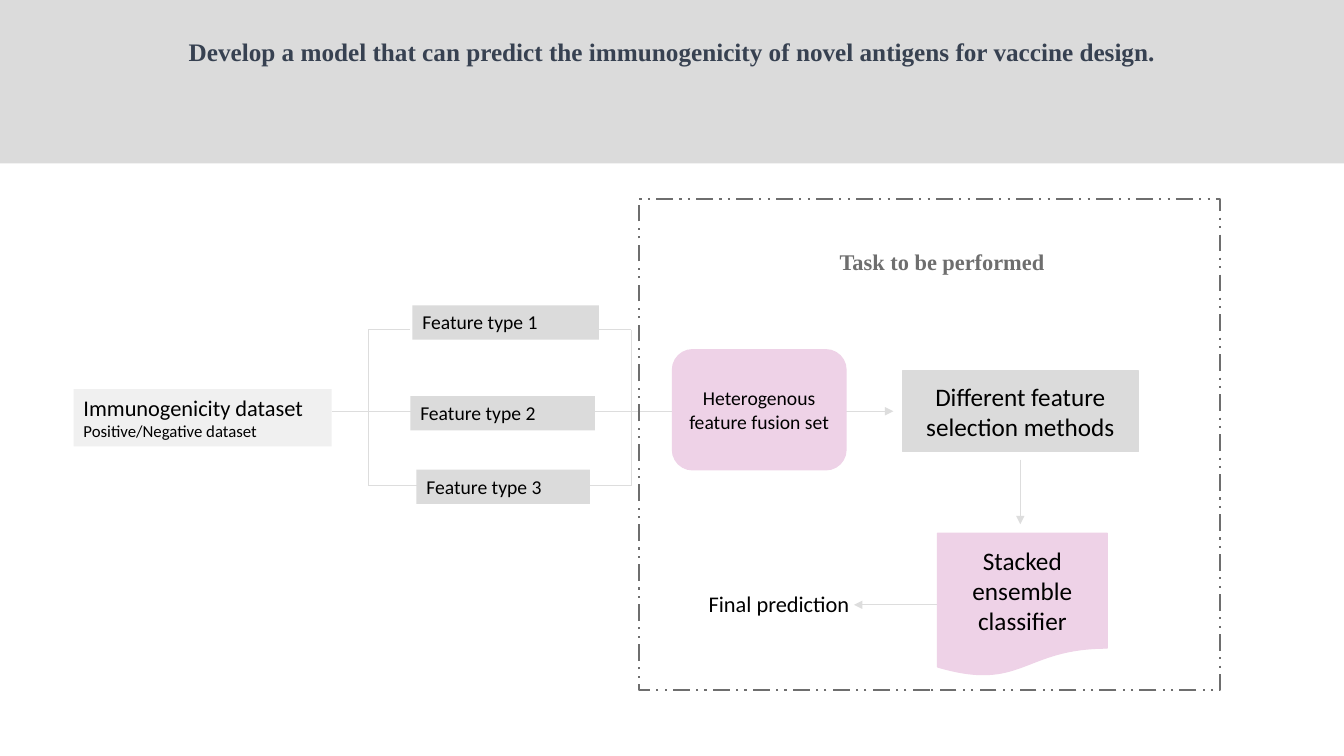
from pptx import Presentation
from pptx.dml.color import RGBColor
from pptx.enum.dml import MSO_LINE
from pptx.enum.shapes import MSO_CONNECTOR, MSO_SHAPE
from pptx.enum.text import MSO_ANCHOR, MSO_AUTO_SIZE, PP_ALIGN
from pptx.oxml.ns import qn
from pptx.util import Inches, Pt
from lxml.etree import SubElement

# Content
TITLE = "Develop a model that can predict the immunogenicity of novel antigens for vaccine design."
TASK = "Task to be performed"
RESULT = "Final prediction"
DATA = [("Immunogenicity dataset", 16), ("Positive/Negative dataset", 12)]
FEATURES = [  # text, left, top, width
    ("Feature type 1", 4.09, 3.03, 1.85),
    ("Feature type 2", 4.07, 3.93, 1.83),
    ("Feature type 3", 4.13, 4.66, 1.72),
]
STEPS = [  # text, shape, box, fill, size
    ("Heterogenous feature fusion set", MSO_SHAPE.ROUNDED_RECTANGLE,
     (6.67, 3.47, 1.72, 1.19), "EED2E7", 14),
    ("Different feature selection methods", MSO_SHAPE.RECTANGLE,
     (8.95, 3.68, 2.34, 0.8), "DBDBDB", 18),
    ("Stacked ensemble classifier", MSO_SHAPE.FLOWCHART_DOCUMENT,
     (9.3, 5.29, 1.68, 1.42), "EED2E7", 18),
]
GRAY, PALE, WIRE, DARK = "DBDBDB", "F0F0F0", "DDDDDD", "6E6E6E"

# Left and right rails, and the heights of the three branches
LEFT, RIGHT = 3.65, 6.26
HIGH, MID, LOW = 3.27, 4.08, 4.82
WIRES = [
    (3.29, MID, LEFT, MID), (LEFT, HIGH, LEFT, LOW), (LEFT, HIGH, 4.07, HIGH),
    (LEFT, MID, RIGHT, MID), (LEFT, LOW, RIGHT, LOW),
    (5.94, HIGH, RIGHT, HIGH), (RIGHT, HIGH, RIGHT, LOW),
]
ARROWS = [(RIGHT, MID, 8.86, MID), (10.12, 4.56, 10.12, 5.2), (9.3, 6, 8.47, 6)]

deck = Presentation()
deck.slide_width, deck.slide_height = Inches(13.33), Inches(7.5)
slide = deck.slides.add_slide(deck.slide_layouts[5])
shapes = slide.shapes


def color(code):
    return RGBColor.from_string(code)


def write(shape, lines, font="Calibri", ink="000000", bold=False,
          align=PP_ALIGN.LEFT, anchor=MSO_ANCHOR.TOP):
    """Fill a shape with (text, size) lines."""
    frame = shape.text_frame
    frame.word_wrap = True
    frame.auto_size = MSO_AUTO_SIZE.NONE
    frame.vertical_anchor = anchor
    for i, (text, size) in enumerate(lines):
        para = frame.add_paragraph() if i else frame.paragraphs[0]
        para.alignment = align
        run = para.add_run()
        run.text = text
        run.font.name, run.font.size, run.font.bold = font, Pt(size), bold
        run.font.color.rgb = color(ink)


def block(box, kind=MSO_SHAPE.RECTANGLE, fill=None, line=None, width=1):
    shape = shapes.add_shape(kind, *map(Inches, box))
    shape.shadow.inherit = False
    if fill:
        shape.fill.solid()
        shape.fill.fore_color.rgb = color(fill)
    else:
        shape.fill.background()
    if line:
        shape.line.color.rgb = color(line)
        shape.line.width = Pt(width)
    else:
        shape.line.fill.background()
    return shape


def wire(ends, arrow=False):
    link = shapes.add_connector(MSO_CONNECTOR.STRAIGHT, *map(Inches, ends))
    link.line.color.rgb = color(WIRE)
    link.line.width = Pt(0.5)
    if arrow:
        SubElement(link._element.spPr.find(qn("a:ln")), qn("a:tailEnd"), type="triangle")
    SubElement(link._element.spPr, qn("a:effectLst"))


def label(box, text, **style):
    write(shapes.add_textbox(*map(Inches, box)), [(text, 16)], **style)


# Title band
title = shapes.title
title.left, title.top, title.width, title.height = map(Inches, (0, 0, 13.33, 1.62))
title.fill.solid()
title.fill.fore_color.rgb = color(GRAY)
title.text_frame.margin_top = Inches(0.36)
write(title, [(TITLE, 18)], font="Times New Roman", ink="374151", bold=True,
      align=PP_ALIGN.CENTER)

# Wires, with the boxes on top
for ends in WIRES:
    wire(ends)
for ends in ARROWS:
    wire(ends, arrow=True)

# Dataset and features
write(block((0.73, 3.86, 2.56, 0.57), fill=PALE), DATA)
for text, x, y, w in FEATURES:
    write(block((x, y, w, 0.34), fill=GRAY), [(text, 14)])

# Steps of the model
for text, kind, box, fill, size in STEPS:
    write(block(box, kind, fill, fill), [(text, size)],
          align=PP_ALIGN.CENTER, anchor=MSO_ANCHOR.MIDDLE)
label((6.93, 5.81, 1.86, 0.37), RESULT)

# Task frame
border = block((6.34, 1.97, 5.76, 4.88), line=DARK, width=1.5)
border.line.dash_style = MSO_LINE.DASH_DOT_DOT
label((8.23, 2.41, 3.76, 0.37), TASK, font="Times New Roman", ink=DARK, bold=True)

deck.save("out.pptx")
